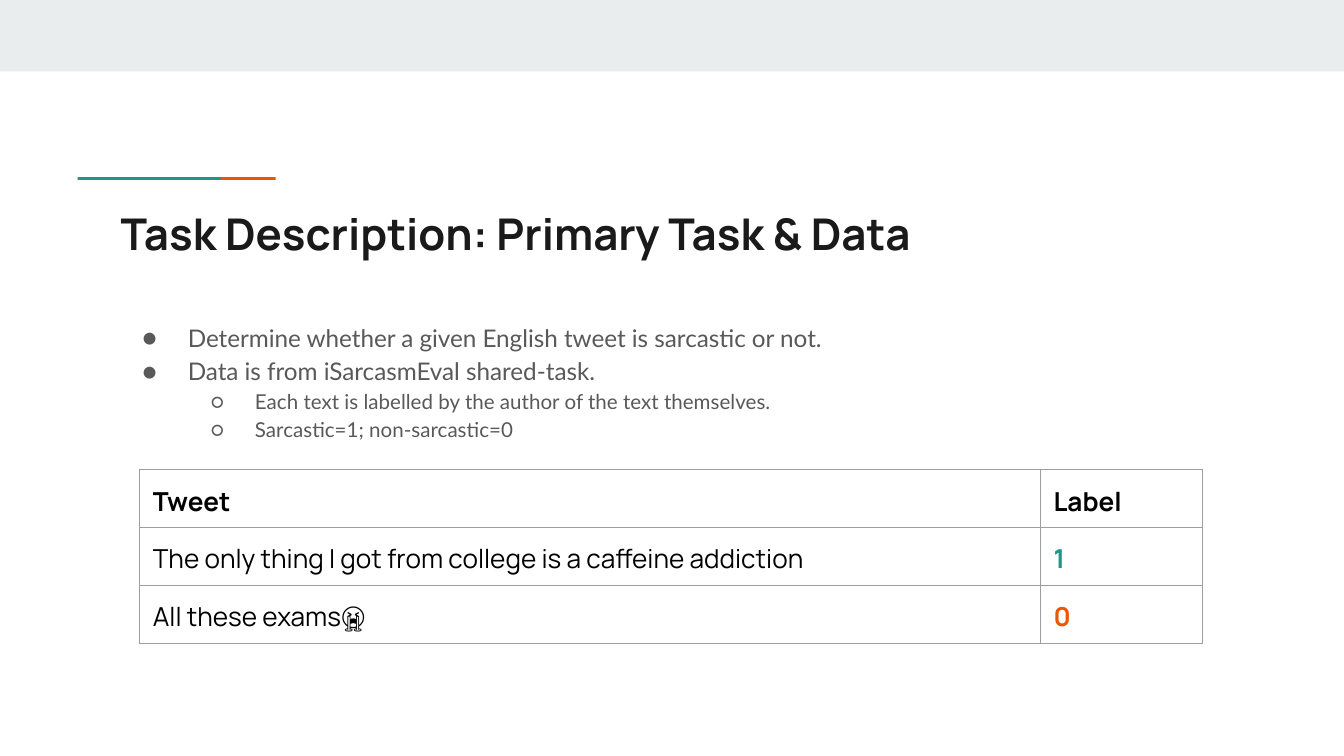
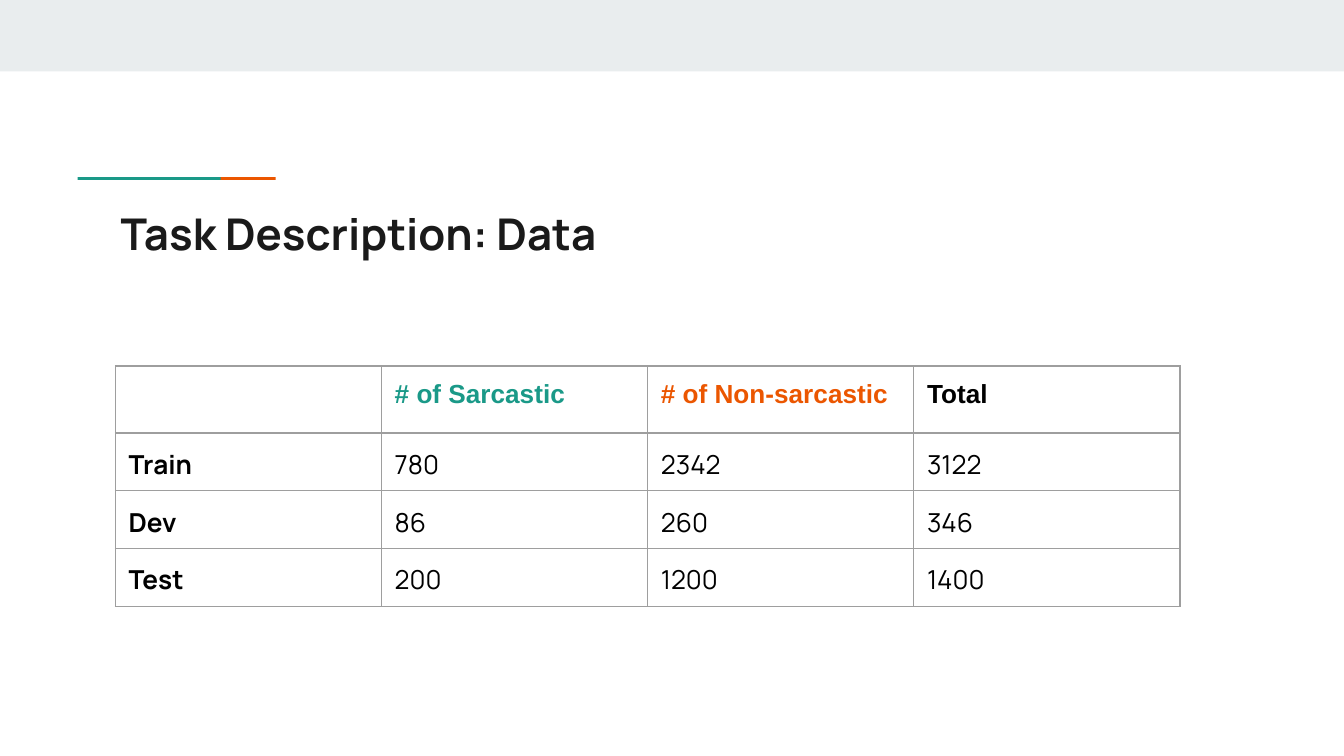
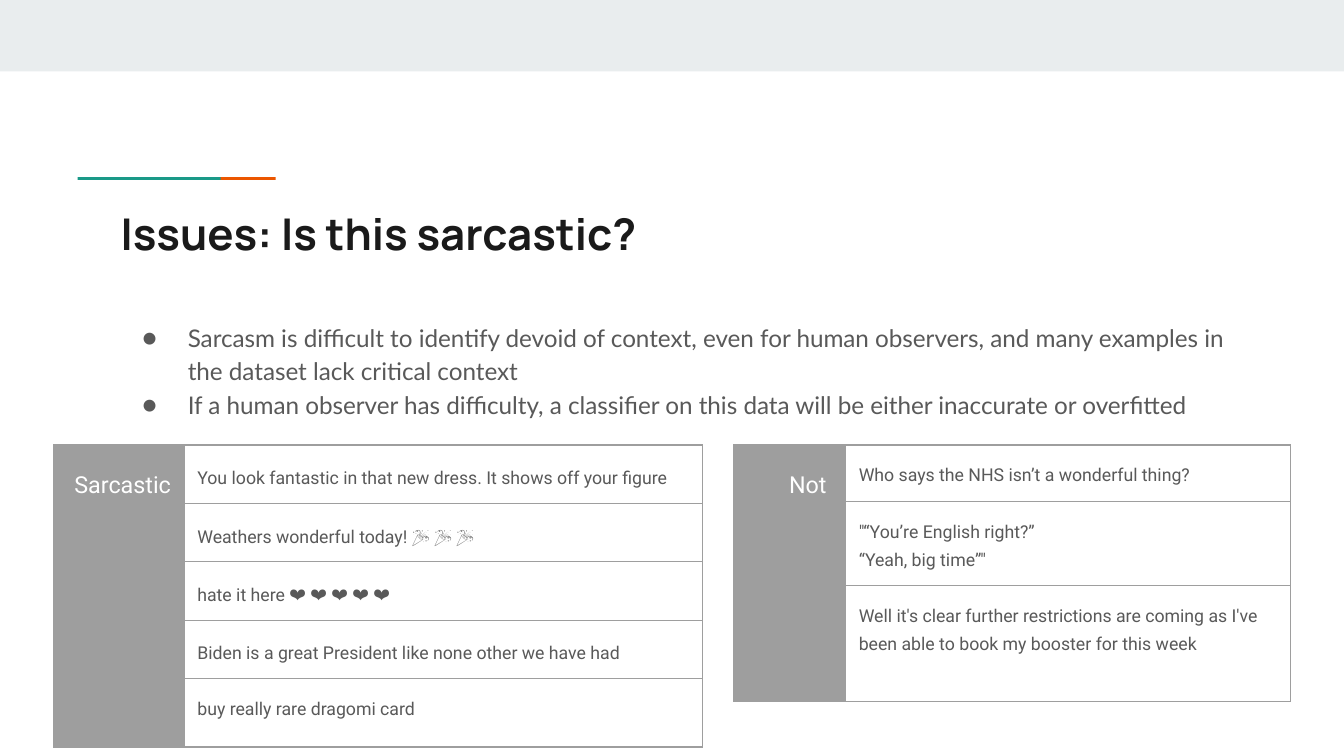
import dataclasses

import pptx
import pptx.dml.color
import pptx.enum.shapes
import pptx.enum.text
import pptx.oxml.xmlchemy
import pptx.util

Cm = pptx.util.Cm
Pt = pptx.util.Pt

BAND = "E9EDEE"
GREEN = "1A9988"
ORANGE = "EB5600"
INK = "1A1A1A"
BODY = "595959"
GREY = "9E9E9E"
BLACK = "000000"
WHITE = "FFFFFF"

INSET = Cm(0.25)
ROW_HEIGHT = 1.07
BULLETS = {0: ("●", 13, 1.27, 0.86), 1: ("○", 11, 2.54, 0.84)}


def rgb(value):
    return pptx.dml.color.RGBColor.from_string(value)


def add_xml(parent, tag, **attributes):
    element = pptx.oxml.xmlchemy.OxmlElement(tag)
    for name, value in attributes.items():
        element.set(name, str(value))
    parent.append(element)
    return element


@dataclasses.dataclass
class Style:
    font: str = "Manrope"
    size: float = 14
    color: str = BLACK
    bold: bool = False
    spacing: float = 1.0
    right: bool = False
    fill: str = ""


TITLE = Style(size=23.4, color=INK, bold=True)
PLAIN = Style()
BOLD = Style(bold=True)
TWEET = Style("Roboto", 9.5, BODY, spacing=1.5)
TIGHT_TWEET = Style("Roboto", 9.5, BODY, spacing=1.36)
SIDE_LABEL = Style("Roboto", 12.5, WHITE, spacing=1.5, right=True, fill=GREY)


class Deck:
    """Holds the shared look and the slide being filled."""

    def __init__(self):
        self.presentation = pptx.Presentation()
        self.presentation.slide_width = Cm(25.4)
        self.presentation.slide_height = Cm(14.29)
        self.slide = None

    def start_slide(self, title):
        layout = self.presentation.slide_layouts[6]
        self.slide = self.presentation.slides.add_slide(layout)
        self.bar(0, 0, 25.4, 1.35, BAND)
        self.bar(2.51, 3.35, 2.7, 0.05, ORANGE)
        self.bar(1.47, 3.35, 2.7, 0.05, GREEN)
        frame = self.text_frame(2.03, 3.66, 21.36, 1.5)
        self.add_text(frame.paragraphs[0], title, TITLE)

    def bar(self, left, top, width, height, color):
        shape = self.slide.shapes.add_shape(
            pptx.enum.shapes.MSO_SHAPE.RECTANGLE,
            Cm(left), Cm(top), Cm(width), Cm(height))
        shape.shadow.inherit = False
        shape.fill.solid()
        shape.fill.fore_color.rgb = rgb(color)
        shape.line.fill.background()

    def text_frame(self, left, top, width, height):
        box = self.slide.shapes.add_textbox(Cm(left), Cm(top), Cm(width), Cm(height))
        frame = box.text_frame
        frame.word_wrap = True
        self.set_insets(frame)
        return frame

    def set_insets(self, holder):
        holder.margin_left = holder.margin_right = INSET
        holder.margin_top = holder.margin_bottom = INSET

    def add_text(self, paragraph, text, style):
        paragraph.line_spacing = style.spacing
        if style.right:
            paragraph.alignment = pptx.enum.text.PP_ALIGN.RIGHT
        run = paragraph.add_run()
        run.text = text
        run.font.name = style.font
        run.font.size = Pt(style.size)
        run.font.bold = style.bold
        run.font.color.rgb = rgb(style.color)

    def bullets(self, items):
        """Add (level, text) pairs as a bulleted list."""
        frame = self.text_frame(2.03, 5.77, 21.36, 6.27)
        for index, (level, text) in enumerate(items):
            paragraph = frame.add_paragraph() if index else frame.paragraphs[0]
            symbol, size, margin, hanging = BULLETS[level]
            paragraph.level = level
            self.add_text(paragraph, text, Style("Lato", size, BODY, spacing=1.15))
            properties = paragraph._p.get_or_add_pPr()
            properties.set("marL", str(Cm(margin)))
            properties.set("indent", str(-Cm(hanging)))
            add_xml(add_xml(properties, "a:buClr"), "a:srgbClr", val=BODY)
            add_xml(properties, "a:buFont", typeface="Lato")
            add_xml(properties, "a:buChar", char=symbol)

    def table(self, left, top, widths, heights, rows, merge_first_column=False):
        """Fill a table from rows of (text, style) cells; None leaves a cell empty."""
        frame = self.slide.shapes.add_table(
            len(rows), len(widths), Cm(left), Cm(top), Cm(sum(widths)), Cm(sum(heights)))
        table = frame.table
        table.first_row = table.horz_banding = False
        for column, width in zip(table.columns, widths):
            column.width = Cm(width)
        for row, height in zip(table.rows, heights):
            row.height = Cm(height)
        for row, contents in zip(table.rows, rows):
            for cell, content in zip(row.cells, contents):
                self.fill_cell(cell, content)
        if merge_first_column:
            table.cell(0, 0).merge(table.cell(len(rows) - 1, 0))

    def fill_cell(self, cell, content):
        text, style = content or ("", PLAIN)
        self.set_insets(cell)
        properties = cell._tc.get_or_add_tcPr()
        for side in ("L", "R", "T", "B"):
            line = add_xml(properties, f"a:ln{side}", w=Pt(0.75))
            add_xml(add_xml(line, "a:solidFill"), "a:srgbClr", val=GREY)
        if style.fill:
            cell.fill.solid()
            cell.fill.fore_color.rgb = rgb(style.fill)
        else:
            cell.fill.background()
        if not text:
            return
        frame = cell.text_frame
        for index, line_text in enumerate(text.split("\n")):
            paragraph = frame.add_paragraph() if index else frame.paragraphs[0]
            self.add_text(paragraph, line_text, style)

    def labelled_tweets(self, left, widths, heights, label, tweets):
        """Put tweets beside one grey label that spans all of them."""
        rows = [[None, tweet] for tweet in tweets]
        rows[0][0] = (label, SIDE_LABEL)
        self.table(left, 8.41, widths, heights, rows, merge_first_column=True)


def add_task_slide(deck):
    deck.start_slide("Task Description: Primary Task & Data")
    deck.bullets([
        (0, "Determine whether a given English tweet is sarcastic or not."),
        (0, "Data is from iSarcasmEval shared-task."),
        (1, "Each text is labelled by the author of the text themselves."),
        (1, "Sarcastic=1; non-sarcastic=0"),
    ])
    deck.table(2.64, 8.88, [17.02, 3.07], [ROW_HEIGHT] * 3, [
        [("Tweet", BOLD), ("Label", BOLD)],
        [("The only thing I got from college is a caffeine addiction", PLAIN),
         ("1", Style(color=GREEN, bold=True))],
        [("All these exams😭", PLAIN), ("0", Style(color=ORANGE, bold=True))],
    ])


def add_data_slide(deck):
    deck.start_slide("Task Description: Data")
    headings = [("# of Sarcastic", GREEN), ("# of Non-sarcastic", ORANGE), ("Total", BLACK)]
    counts = {
        "Train": (780, 2342, 3122),
        "Dev": (86, 260, 346),
        "Test": (200, 1200, 1400),
    }
    rows = [[None] + [(text, Style("Arial", color=color, bold=True)) for text, color in headings]]
    for name, values in counts.items():
        rows.append([(name, BOLD)] + [(str(value), PLAIN) for value in values])
    deck.table(2.18, 6.92, [5.03] * 4, [ROW_HEIGHT] * 4, rows)


def add_issues_slide(deck):
    deck.start_slide("Issues: Is this sarcastic?")
    deck.bullets([
        (0, "Sarcasm is difficult to identify devoid of context, even for human observers, "
            "and many examples in the dataset lack critical context"),
        (0, "If a human observer has difficulty, a classifier on this data will be either "
            "inaccurate or overfitted"),
    ])
    deck.labelled_tweets(1.02, [2.46, 9.8], [ROW_HEIGHT] * 4 + [1.28], "Sarcastic", [
        ("You look fantastic in that new dress. It shows off your figure", TWEET),
        ("Weathers wonderful today! 🎉 🎉 🎉", TWEET),
        ("hate it here ❤ ❤ ❤ ❤ ❤", TWEET),
        ("Biden is a great President like none other we have had", TWEET),
        ("buy really rare dragomi card", TIGHT_TWEET),
    ])
    deck.labelled_tweets(13.87, [2.11, 8.41], [ROW_HEIGHT, 1.45, 2.18], "Not ", [
        ("Who says the NHS isn’t a wonderful thing?", TIGHT_TWEET),
        ("\"“You’re English right?”\n“Yeah, big time”\"", TIGHT_TWEET),
        ("Well it's clear further restrictions are coming as I've been able to book "
         "my booster for this week", TIGHT_TWEET),
    ])


def main():
    deck = Deck()
    add_task_slide(deck)
    add_data_slide(deck)
    add_issues_slide(deck)
    deck.presentation.save("out.pptx")


if __name__ == "__main__":
    main()
